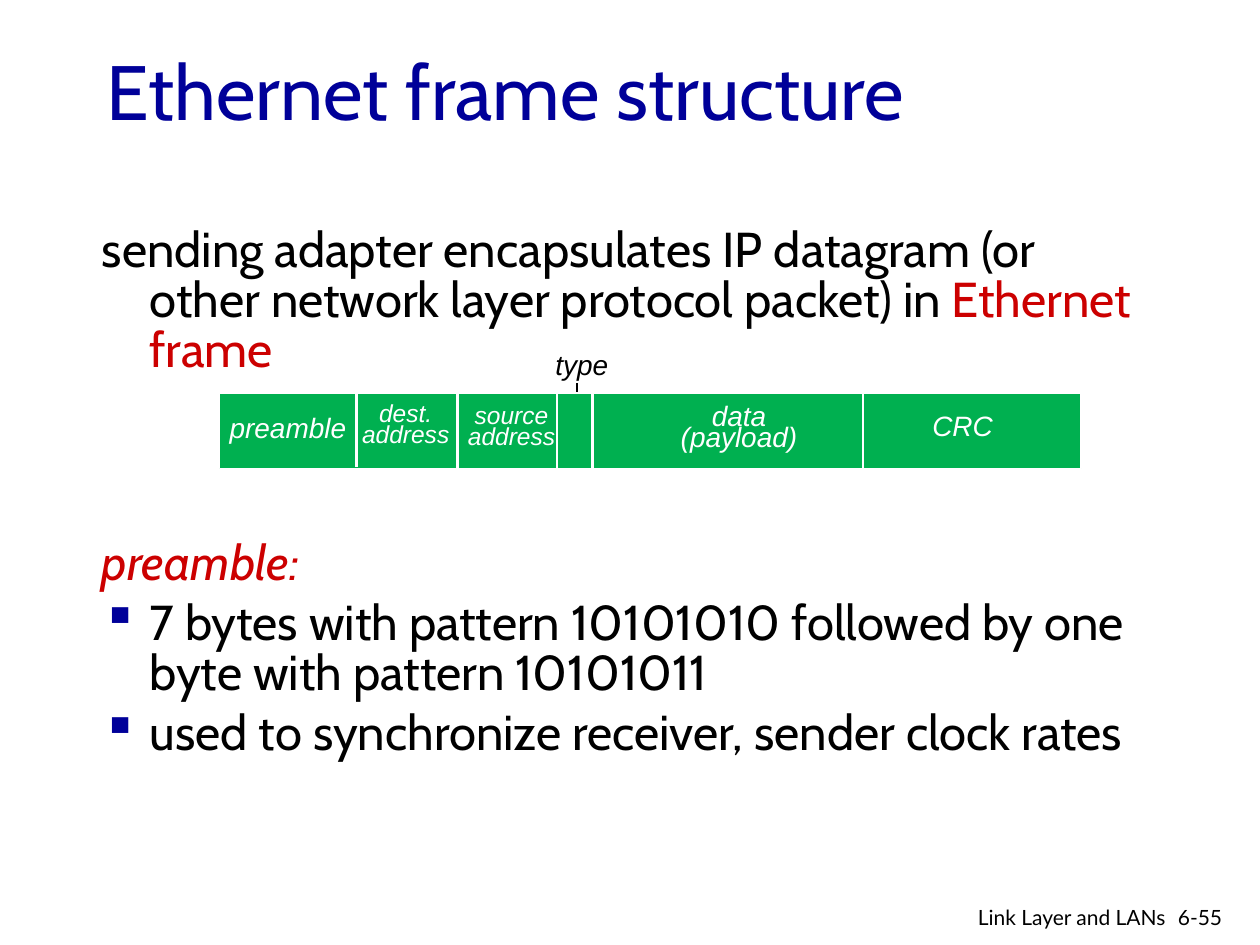
import pptx
import pptx.dml.color
import pptx.enum.shapes
import pptx.enum.text
import pptx.oxml
import pptx.oxml.ns
import pptx.util

Inches = pptx.util.Inches
Pt = pptx.util.Pt
Align = pptx.enum.text.PP_ALIGN
Anchor = pptx.enum.text.MSO_ANCHOR

COLORS = {
    "title": "000099",
    "text": "000000",
    "accent": "CC0000",
    "frame": "00B050",
    "white": "FFFFFF",
}

FIELD_DIVIDERS = [
    (2.83, 3.11, 3.71),
    (3.63, 3.11, 3.75),
    (4.42, 3.12, 3.72),
    (4.70, 3.11, 3.75),
    (6.85, 3.12, 3.80),
]

FIELD_LABELS = [
    (["preamble"], (1.70, 3.31, 1.17, 0.29), 16),
    (["dest.", "address"], (2.76, 3.18, 0.92, 0.45), 14),
    (["source", "address"], (3.60, 3.19, 0.92, 0.45), 14),
    (["data (payload)"], (5.11, 3.21, 1.51, 0.45), 16),
    (["CRC"], (7.17, 3.29, 0.94, 0.29), 16),
]


def rgb(name):
    return pptx.dml.color.RGBColor.from_string(COLORS[name])


def add_box(page, place, anchor=Anchor.TOP):
    box = page.shapes.add_textbox(*map(Inches, place))
    box.text_frame.word_wrap = True
    box.text_frame.vertical_anchor = anchor
    return box.text_frame


def add_para(frame, first=False):
    return frame.paragraphs[0] if first else frame.add_paragraph()


def add_span(para, text, size=28, font="Cabin", color="text", italic=False):
    span = para.add_run()
    span.text = text
    span.font.size = Pt(size)
    span.font.name = font
    span.font.italic = italic
    span.font.color.rgb = rgb(color)


def add_label(page, lines, place, align=Align.LEFT, spacing=None,
              anchor=Anchor.TOP, **style):
    frame = add_box(page, place, anchor)
    for index, line in enumerate(lines):
        para = add_para(frame, index == 0)
        para.alignment = align
        if spacing:
            para.line_spacing = Pt(spacing)
        add_span(para, line, **style)


def add_bullet(properties):
    color = pptx.oxml.parse_xml(
        f'<a:buClr {pptx.oxml.ns.nsdecls("a")}>'
        f'<a:srgbClr val="{COLORS["title"]}"/></a:buClr>')
    mark = pptx.oxml.parse_xml(
        f'<a:buChar {pptx.oxml.ns.nsdecls("a")} char="▪"/>')
    properties.extend([color, mark])


def add_body(page, place, items):
    frame = add_box(page, place)
    for index, (spans, bulleted) in enumerate(items):
        para = add_para(frame, index == 0)
        properties = para._p.get_or_add_pPr()
        properties.set("marL", str(Inches(0.38)))
        properties.set("indent", str(-Inches(0.38)))
        if bulleted:
            add_bullet(properties)
        para.line_spacing = 0.85
        if index:
            para.space_before = Pt(5.6)
        for text, style in spans:
            add_span(para, text, **style)


def add_line(page, left, top, bottom, color, width):
    line = page.shapes.add_connector(
        pptx.enum.shapes.MSO_CONNECTOR.STRAIGHT,
        Inches(left), Inches(top), Inches(left), Inches(bottom))
    line.line.color.rgb = rgb(color)
    line.line.width = Pt(width)
    properties = line._element.spPr
    properties.append(pptx.oxml.parse_xml(
        f'<a:effectLst {pptx.oxml.ns.nsdecls("a")}/>'))


def add_bar(page, place):
    bar = page.shapes.add_shape(
        pptx.enum.shapes.MSO_SHAPE.RECTANGLE, *map(Inches, place))
    bar.shadow.inherit = False
    bar.fill.solid()
    bar.fill.fore_color.rgb = rgb("frame")
    bar.line.color.rgb = rgb("white")
    bar.line.width = Pt(0.75)


def add_ethernet_frame(page):
    add_line(page, 4.58, 3.04, 3.26, "text", 0.75)
    add_bar(page, (1.74, 3.12, 6.84, 0.6))
    for left, top, bottom in FIELD_DIVIDERS:
        add_line(page, left, top, bottom, "white", 1.5)
    for lines, place, size in FIELD_LABELS:
        add_label(page, lines, place, align=Align.CENTER, spacing=12,
                  size=size, font="Arial", color="white", italic=True)
    add_label(page, ["type"], (4.31, 2.71, 0.84, 0.37),
              size=16, font="Arial", italic=True)


def main():
    deck = pptx.Presentation()
    deck.slide_width, deck.slide_height = Inches(10), Inches(7.5)
    page = deck.slides.add_slide(deck.slide_layouts[6])

    add_label(page, ["Ethernet frame structure"], (0.75, 0.38, 8.5, 0.67),
              anchor=Anchor.MIDDLE, size=44, color="title")
    add_body(page, (0.71, 1.76, 8.5, 1.3), [
        ([("sending adapter encapsulates IP datagram (or other network "
           "layer protocol packet) in ", {}),
          ("Ethernet frame", {"color": "accent"})], False),
    ])
    add_body(page, (0.71, 4.24, 8.5, 2.27), [
        ([("preamble:", {"color": "accent", "italic": True})], False),
        ([("7 bytes with pattern 10101010 followed by one byte with "
           "pattern 10101011", {})], True),
        ([("used to synchronize receiver, sender clock rates", {})], True),
    ])
    add_ethernet_frame(page)
    add_label(page, ["6-55"], (9.25, 7.13, 0.6, 0.3), size=12, font="Lato")
    add_label(page, ["Link Layer and LANs"], (6.97, 7.13, 2.38, 0.26),
              align=Align.RIGHT, size=12, font="Lato")
    deck.save("out.pptx")


if __name__ == "__main__":
    main()
